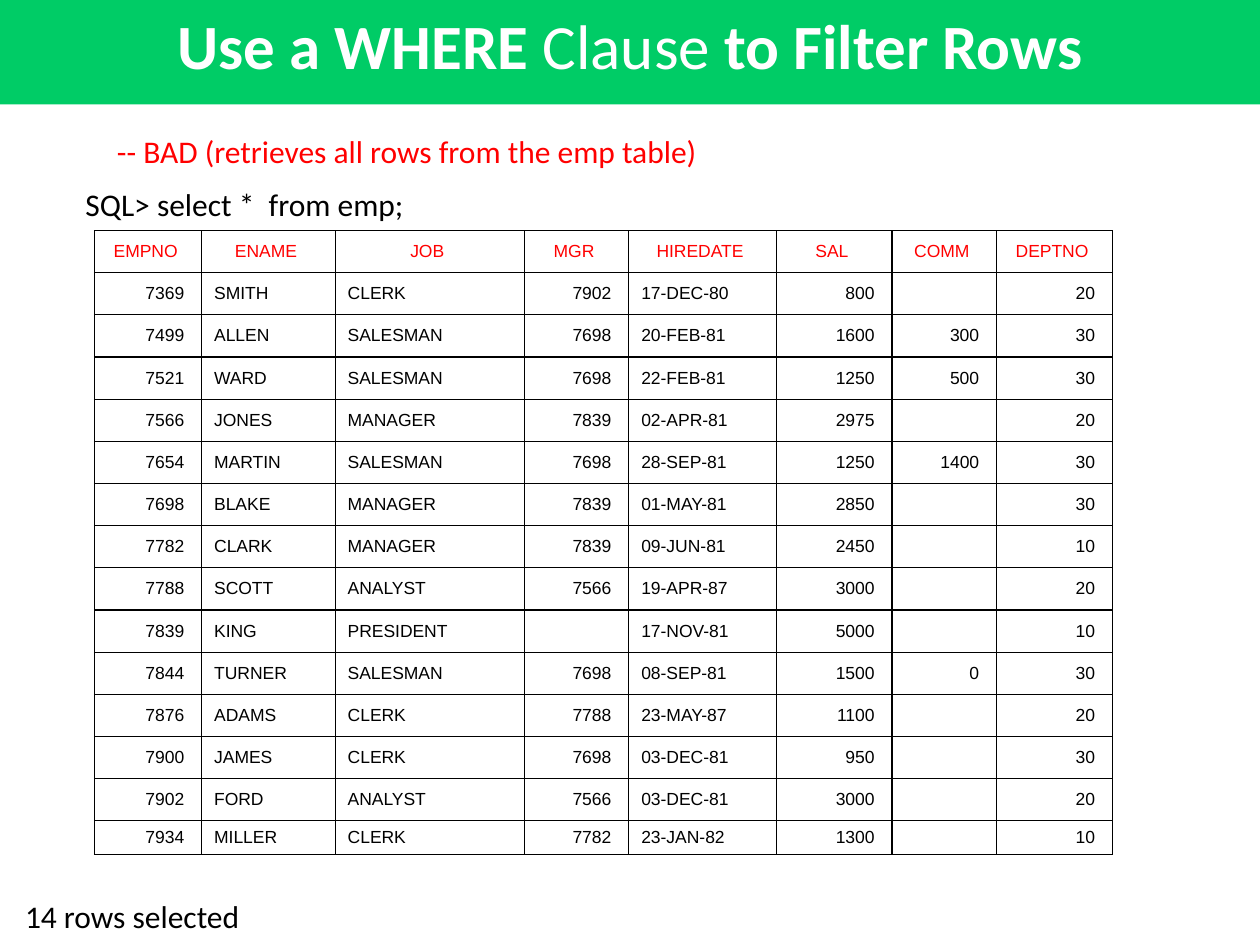
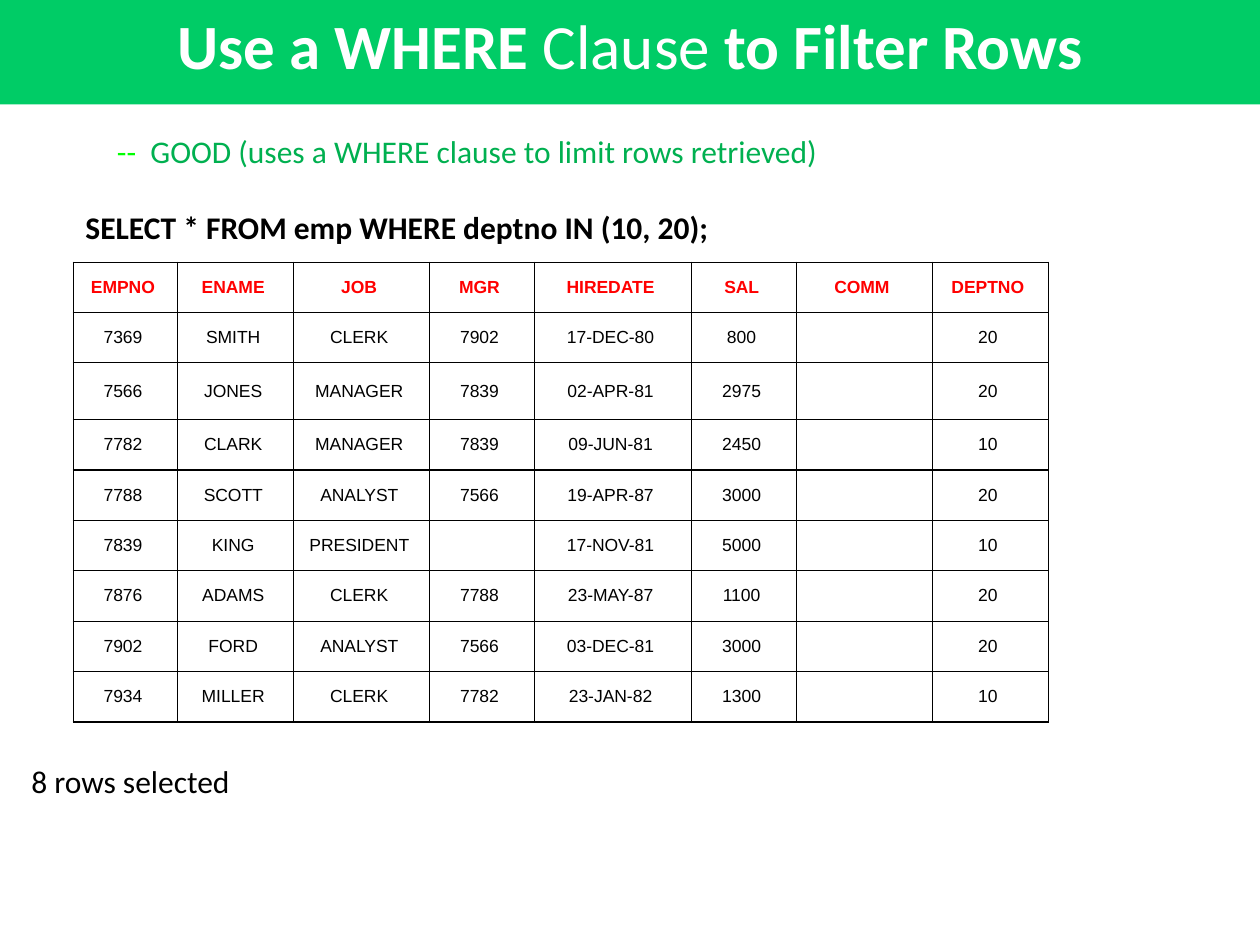
"""Build two slides that compare a query without and with a WHERE clause."""
import lxml.etree
import pptx
import pptx.dml.color
import pptx.enum.shapes
import pptx.enum.text
import pptx.oxml.ns
import pptx.util

TITLE = [("Use a WHERE ", True), ("Clause", False), (" to Filter Rows", True)]
HEADS = ["EMPNO", "ENAME", "JOB", "MGR", "HIREDATE", "SAL", "COMM", "DEPTNO"]
STAFF = [
    (7369, "SMITH", "CLERK", 7902, "17-DEC-80", 800, None, 20),
    (7499, "ALLEN", "SALESMAN", 7698, "20-FEB-81", 1600, 300, 30),
    (7521, "WARD", "SALESMAN", 7698, "22-FEB-81", 1250, 500, 30),
    (7566, "JONES", "MANAGER", 7839, "02-APR-81", 2975, None, 20),
    (7654, "MARTIN", "SALESMAN", 7698, "28-SEP-81", 1250, 1400, 30),
    (7698, "BLAKE", "MANAGER", 7839, "01-MAY-81", 2850, None, 30),
    (7782, "CLARK", "MANAGER", 7839, "09-JUN-81", 2450, None, 10),
    (7788, "SCOTT", "ANALYST", 7566, "19-APR-87", 3000, None, 20),
    (7839, "KING", "PRESIDENT", None, "17-NOV-81", 5000, None, 10),
    (7844, "TURNER", "SALESMAN", 7698, "08-SEP-81", 1500, 0, 30),
    (7876, "ADAMS", "CLERK", 7788, "23-MAY-87", 1100, None, 20),
    (7900, "JAMES", "CLERK", 7698, "03-DEC-81", 950, None, 30),
    (7902, "FORD", "ANALYST", 7566, "03-DEC-81", 3000, None, 20),
    (7934, "MILLER", "CLERK", 7782, "23-JAN-82", 1300, None, 10),
]
THEME = {
    "band": "00CC66", "white": "FFFFFF", "black": "000000", "red": "FF0000",
    "lime": "00FF00", "green": "00B050",
    "body": "Calibri", "grid": "Arial",
    "title": 36, "text": 18, "cell": 10, "line": 0.75,
}
SLIDES = [
    {
        "note": [("-- BAD (retrieves all rows from the emp table)", "red")],
        "query": "SQL> select *  from emp;", "query_top": 1.42, "strong": False,
        "rows": STAFF, "left": 0.75, "top": 1.83, "centred": False,
        "cols": [0.85, 1.06, 1.5, 0.83, 1.17, 0.92, 0.83, 0.92],
        "height": 0.335, "odd": {len(STAFF): 0.27},
        "count_at": (0.1, 7.07),
    },
    {
        "note": [("--  ", "lime"),
                 ("GOOD (uses a WHERE clause to limit rows retrieved)", "green")],
        "query": "SELECT * FROM emp WHERE deptno IN (10, 20);",
        "query_top": 1.6, "strong": True,
        "rows": [row for row in STAFF if row[-1] in (10, 20)],
        "left": 0.58, "top": 2.08, "centred": True,
        "cols": [0.83, 0.92, 1.08, 0.83, 1.25, 0.83, 1.08, 0.92],
        "height": 0.4, "odd": {2: 0.45},
        "count_at": (0.15, 6),
    },
]
INCH = pptx.util.Inches
ALIGN = pptx.enum.text.PP_ALIGN
ANCHOR = pptx.enum.text.MSO_ANCHOR


def tint(name):
    return pptx.dml.color.RGBColor.from_string(THEME[name])


def write(para, text, font="body", size="text", color="black", bold=False, align=ALIGN.LEFT):
    para.alignment = align
    run = para.add_run()
    run.text = text
    run.font.name = THEME[font]
    run.font.size = pptx.util.Pt(THEME[size])
    run.font.color.rgb = tint(color)
    run.font.bold = bold


def add_box(slide, left, top, width, runs, **form):
    box = slide.shapes.add_textbox(*map(INCH, (left, top, width, 0.4)))
    box.text_frame.word_wrap = True
    for text, color in runs:
        write(box.text_frame.paragraphs[0], text, color=color, **form)


def add_band(slide, width):
    band = slide.shapes.add_shape(
        pptx.enum.shapes.MSO_SHAPE.RECTANGLE, 0, 0, width, INCH(0.83))
    band.shadow.inherit = False
    band.fill.solid()
    band.fill.fore_color.rgb = tint("band")
    band.line.fill.background()
    band.text_frame.word_wrap = True
    band.text_frame.vertical_anchor = ANCHOR.TOP
    for text, bold in TITLE:
        write(band.text_frame.paragraphs[0], text, size="title", color="white",
              bold=bold, align=ALIGN.CENTER)


def frame(cell):
    props = cell._tc.get_or_add_tcPr()
    tag = pptx.oxml.ns.qn
    for side in ("a:lnL", "a:lnR", "a:lnT", "a:lnB"):
        line = lxml.etree.SubElement(props, tag(side), w=str(pptx.util.Pt(THEME["line"])))
        fill = lxml.etree.SubElement(line, tag("a:solidFill"))
        lxml.etree.SubElement(fill, tag("a:srgbClr"), val=THEME["black"])
    cell.fill.background()


def fill_cell(cell, value, head, centred):
    frame(cell)
    cell.vertical_anchor = ANCHOR.MIDDLE
    para = cell.text_frame.paragraphs[0]
    if value is None:
        para._p.get_or_add_endParaRPr().set("sz", str(THEME["cell"] * 100))
        return
    word = isinstance(value, str)
    middle = head or centred
    align = ALIGN.CENTER if middle else ALIGN.LEFT if word else ALIGN.RIGHT
    text = f"{value}" if word and not middle else f"{value} "
    write(para, text, font="grid", size="cell", color="red" if head else "black",
          bold=head and centred, align=align)


def add_grid(slide, page):
    rows = [HEADS, *page["rows"]]
    highs = [page["odd"].get(i, page["height"]) for i in range(len(rows))]
    area = (page["left"], page["top"], sum(page["cols"]), sum(highs))
    grid = slide.shapes.add_table(len(rows), len(HEADS), *map(INCH, area)).table
    grid.first_row = grid.horz_banding = False
    for col, width in zip(grid.columns, page["cols"]):
        col.width = INCH(width)
    for i, (values, high) in enumerate(zip(rows, highs)):
        grid.rows[i].height = INCH(high)
        for j, value in enumerate(values):
            fill_cell(grid.cell(i, j), value, i == 0, page["centred"])


def main():
    deck = pptx.Presentation()
    deck.slide_width, deck.slide_height = INCH(10), INCH(7.5)
    for page in SLIDES:
        slide = deck.slides.add_slide(deck.slide_layouts[6])
        add_band(slide, deck.slide_width)
        add_box(slide, 0.83, 1, 6.53, page["note"])
        add_box(slide, 0.58, page["query_top"], 6.17, [(page["query"], "black")],
                bold=page["strong"])
        add_grid(slide, page)
        add_box(slide, *page["count_at"], 2.08,
                [(f"{len(page['rows'])} rows selected", "black")])
    deck.save("out.pptx")


if __name__ == "__main__":
    main()
